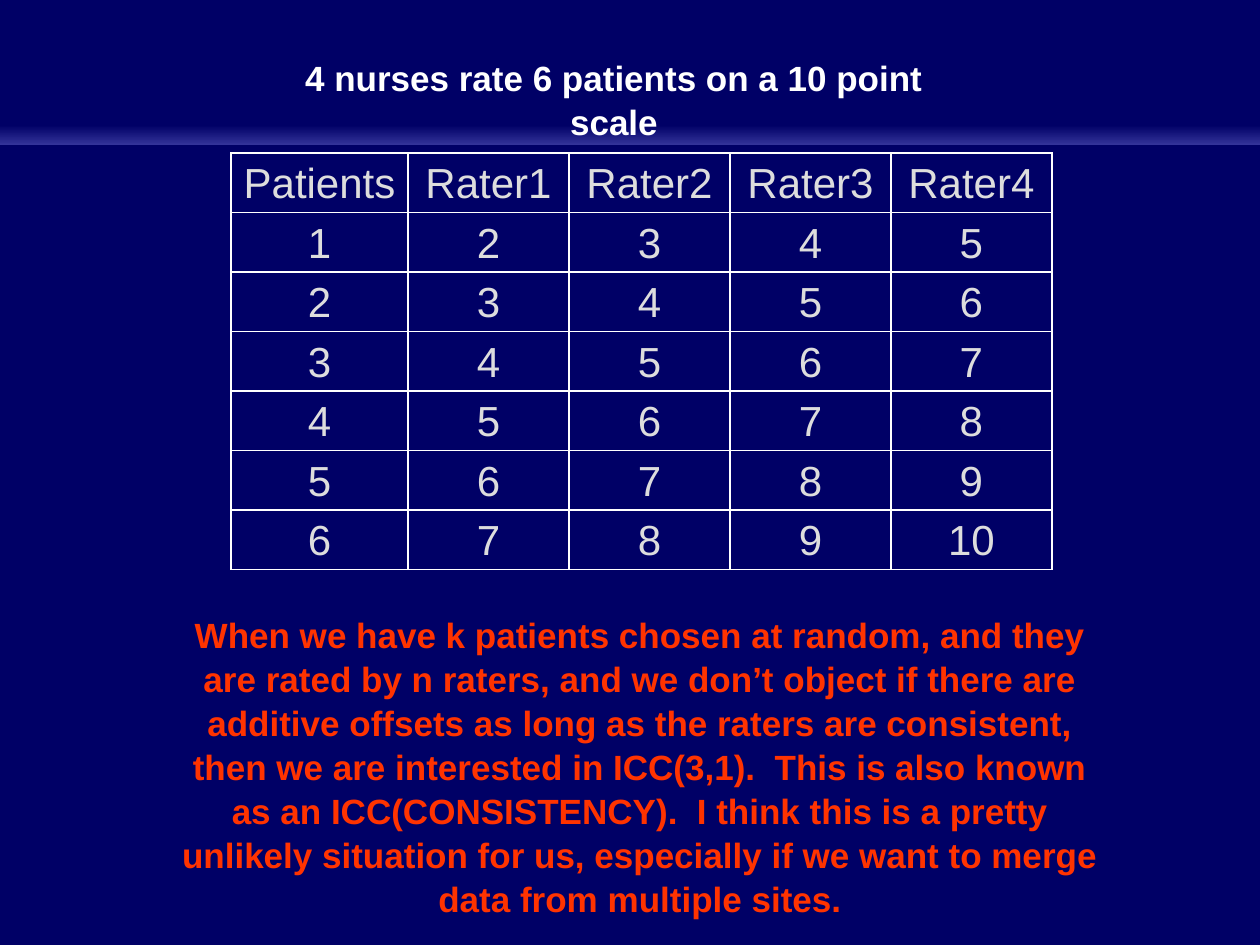
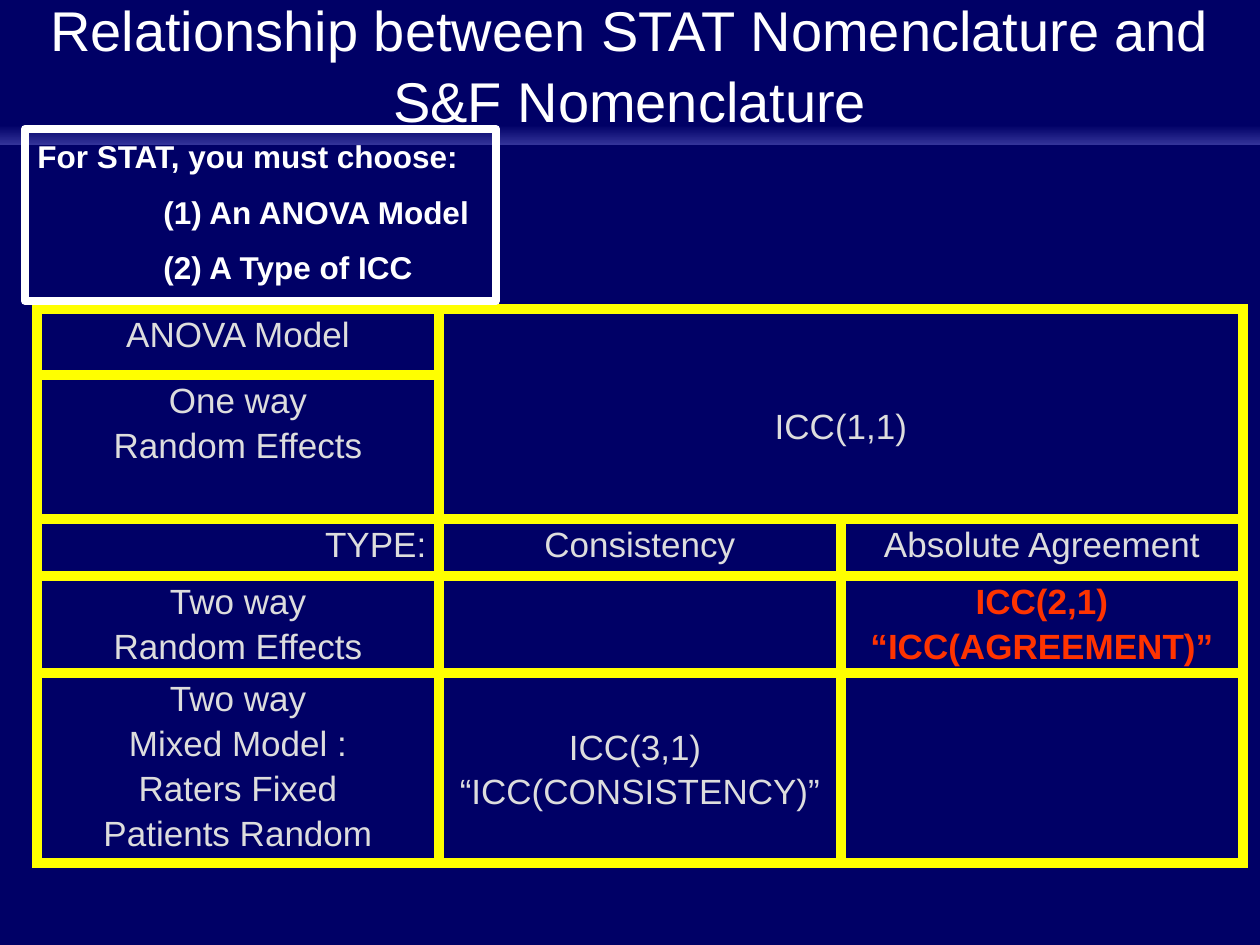
from lxml import etree
from pptx import Presentation
from pptx.dml.color import RGBColor
from pptx.enum.shapes import MSO_SHAPE
from pptx.enum.text import MSO_ANCHOR as ANCHOR, PP_ALIGN as ALIGN
from pptx.oxml.ns import qn
from pptx.util import Emu, Pt

NAVY = RGBColor(0x00, 0x00, 0x66)
INDIGO = RGBColor(0x33, 0x33, 0x99)
WHITE = RGBColor(0xFF, 0xFF, 0xFF)
GREY = RGBColor(0xDD, 0xDD, 0xDD)
RED = RGBColor(0xFF, 0x33, 0x00)
YELLOW = RGBColor(0xFF, 0xFF, 0x00)

FONT = "Arial"
TITLE_ONLY = 5
SLIDE_W, SLIDE_H = 1260, 945
LINE_SPACING = 1.05

HEADING = {"size": Pt(32), "bold": False, "color": WHITE}
SUBHEADING = {"size": Pt(20), "bold": True, "color": WHITE}
REMARK = {"size": Pt(20), "bold": True, "color": RED}
BOX = {"size": Pt(18), "bold": True, "color": WHITE}
CELL_LARGE = {"size": Pt(24), "bold": False, "color": GREY}
CELL = {"size": Pt(20), "bold": False, "color": GREY}


def px(n):
    return Emu(round(n * 914400 / 126))


def place(shape, left, top, width, height):
    for name, n in zip(("left", "top", "width", "height"), (left, top, width, height)):
        setattr(shape, name, px(n))


def write(tf, lines, fmt, align=ALIGN.CENTER, gap=0):
    """Fill a text frame with one paragraph per line."""
    for i, line in enumerate(lines):
        p = tf.add_paragraph() if i else tf.paragraphs[0]
        p.alignment = align
        p.line_spacing = LINE_SPACING
        p.space_before = Pt(gap if i else 0)
        r = p.add_run()
        r.text = line
        r.font.name = FONT
        for name, value in fmt.items():
            if name == "color":
                r.font.color.rgb = value
            else:
                setattr(r.font, name, value)


def style_master(prs):
    """Navy background and gradient band, shared by all slides."""
    master = prs.slide_master
    fill = master.background.fill
    fill.solid()
    fill.fore_color.rgb = NAVY


def move_band_to_master(prs, slide):
    band = slide.shapes.add_shape(MSO_SHAPE.RECTANGLE, 0, px(125), px(SLIDE_W), px(20))
    band.shadow.inherit = False
    band.line.fill.background()
    band.fill.gradient()
    band.fill.gradient_angle = 270
    for stop, color, pos in zip(band.fill.gradient_stops, (NAVY, INDIGO), (0, 1)):
        stop.color.rgb = color
        stop.position = pos
    prs.slide_master.shapes.element.insert(2, band.element)


def add_title(slide, text, box, fmt, anchor):
    sp = slide.shapes.title
    place(sp, *box)
    tf = sp.text_frame
    tf.word_wrap = True
    tf.vertical_anchor = anchor
    write(tf, [text], fmt)


def add_text(slide, box, lines, fmt):
    tf = slide.shapes.add_textbox(*map(px, box)).text_frame
    tf.word_wrap = True
    write(tf, lines, fmt)


def add_border(cell, color, width):
    tcPr = cell._tc.get_or_add_tcPr()
    for side in ("lnL", "lnR", "lnT", "lnB"):
        ln = etree.SubElement(tcPr, qn("a:" + side), w=str(Pt(width)))
        fill = etree.SubElement(ln, qn("a:solidFill"))
        etree.SubElement(fill, qn("a:srgbClr"), val=str(color))


def add_table(slide, left, top, col_widths, row_heights, border, fill=None):
    """Empty table with plain borders and no style banding."""
    frame = slide.shapes.add_table(len(row_heights), len(col_widths), px(left), px(top),
                                   px(sum(col_widths)), px(sum(row_heights)))
    table = frame.table
    table.first_row = table.horz_banding = False
    for col, width in zip(table.columns, col_widths):
        col.width = px(width)
    for row, height in zip(table.rows, row_heights):
        row.height = px(height)
    for cell in table.iter_cells():
        add_border(cell, *border)
        if fill is None:
            cell.fill.background()
        else:
            cell.fill.solid()
            cell.fill.fore_color.rgb = fill
    return table


def fill_cell(cell, lines, fmt, align=ALIGN.CENTER, anchor=ANCHOR.TOP, top=5, bottom=2):
    cell.vertical_anchor = anchor
    cell.margin_top, cell.margin_bottom = px(top), px(bottom)
    write(cell.text_frame, lines, fmt, align, gap=2.2)


def add_choice_box(slide):
    sp = slide.shapes.add_shape(MSO_SHAPE.RECTANGLE, *map(px, (25, 129, 471, 172)))
    sp.shadow.inherit = False
    sp.fill.background()
    sp.line.color.rgb = WHITE
    sp.line.width = Pt(4.5)
    tf = sp.text_frame
    tf.word_wrap = True
    tf.vertical_anchor = ANCHOR.TOP
    write(tf, ["For STAT, you must choose:", "(1) An ANOVA Model", "(2) A Type of ICC"],
          BOX, ALIGN.LEFT, gap=9)
    for p in tf.paragraphs[1:]:
        p._p.get_or_add_pPr().set("marL", str(px(126)))


def build_ratings(slide):
    add_title(slide, "4 nurses rate 6 patients on a 10 point scale",
              (254, 48, 720, 54), SUBHEADING, ANCHOR.TOP)

    # Each rater scores one point above the previous one
    raters, patients = 4, 6
    rows = [["Patients"] + [f"Rater{n}" for n in range(1, raters + 1)]]
    rows += [[str(k + n) for n in range(raters + 1)] for k in range(1, patients + 1)]
    table = add_table(slide, 231, 153, [177] + [161] * raters,
                      [417 / len(rows)] * len(rows), (WHITE, 1))
    for i, row in enumerate(rows):
        for j, text in enumerate(row):
            fill_cell(table.cell(i, j), [text], CELL_LARGE,
                      anchor=ANCHOR.MIDDLE, top=4, bottom=4)

    add_text(slide, (157, 605, 966, 306), [
        "When we have k patients chosen at random, and they are rated by n raters, "
        "and we don’t object if there are additive offsets as long as the raters are "
        "consistent, then we are interested in ICC(3,1).  This is also known as an "
        "ICC(CONSISTENCY).  I think this is a pretty unlikely situation for us, "
        "especially if we want to merge data from multiple sites."], REMARK)


def build_nomenclature(slide):
    add_title(slide, "Relationship between STAT Nomenclature and S&F Nomenclature",
              (0, 0, SLIDE_W, 126), HEADING, ANCHOR.MIDDLE)

    # Models down the side, ICC types across
    table = add_table(slide, 37, 309, [402] * 3, [66, 144, 57, 97, 190], (YELLOW, 6), NAVY)
    table.cell(0, 1).merge(table.cell(1, 2))
    models = [["ANOVA Model"],
              ["One way", "Random Effects"],
              ["TYPE:"],
              ["Two way", "Random Effects"],
              ["Two way", "Mixed Model :", "Raters Fixed", "Patients Random"]]
    for i, lines in enumerate(models):
        align = ALIGN.RIGHT if lines == ["TYPE:"] else ALIGN.CENTER
        fill_cell(table.cell(i, 0), lines, CELL, align)
    fill_cell(table.cell(0, 1), ["ICC(1,1)"], CELL, anchor=ANCHOR.MIDDLE, top=31, bottom=6)
    fill_cell(table.cell(2, 1), ["Consistency"], CELL)
    fill_cell(table.cell(2, 2), ["Absolute Agreement"], CELL)
    fill_cell(table.cell(3, 2), ["ICC(2,1)", "“ICC(AGREEMENT)”"], REMARK)
    fill_cell(table.cell(4, 1), ["ICC(3,1) ", "“ICC(CONSISTENCY)”"], CELL,
              anchor=ANCHOR.MIDDLE)

    add_choice_box(slide)


def main():
    prs = Presentation()
    prs.slide_width, prs.slide_height = px(SLIDE_W), px(SLIDE_H)
    style_master(prs)
    layout = prs.slide_layouts[TITLE_ONLY]
    slides = [prs.slides.add_slide(layout) for _ in range(2)]
    move_band_to_master(prs, slides[0])
    build_ratings(slides[0])
    build_nomenclature(slides[1])
    prs.save("out.pptx")


main()
